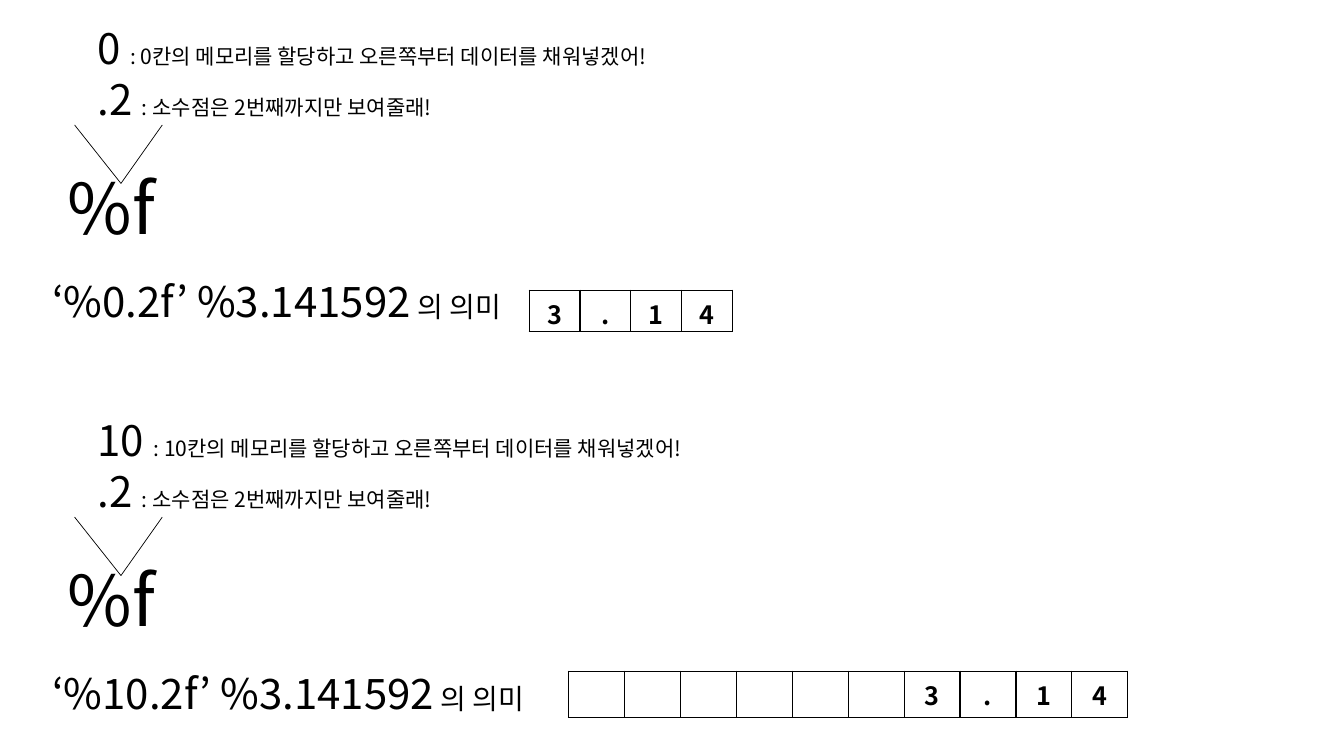
"""Builds a slide explaining width and precision in %f formatting."""
from lxml.etree import SubElement
from pptx import Presentation
from pptx.dml.color import RGBColor
from pptx.enum.shapes import MSO_CONNECTOR as CONN
from pptx.enum.text import MSO_ANCHOR as ANCHOR, PP_ALIGN as ALIGN
from pptx.oxml import parse_xml
from pptx.oxml.ns import nsdecls, qn
from pptx.util import Inches, Pt


def rgb(code):
    return RGBColor.from_string(code)


class Board:
    font, ink, paper = "Noto Sans CJK KR", "000000", "FFFFFF"
    cols, rows = 133.33, 75

    def __init__(self, prs):
        self.prs = prs
        self.s = prs.slides.add_slide(prs.slide_layouts[6])

    def x(self, cols):
        return round(self.prs.slide_width * cols / self.cols)

    def y(self, rows):
        return round(self.prs.slide_height * rows / self.rows)

    def run(self, p, text, size, bold=False):
        r = p.add_run()
        r.text = text
        r.font.size, r.font.bold, r.font.name = Pt(size), bold, self.font
        r.font.color.rgb = rgb(self.ink)
        SubElement(r.font._element, qn("a:ea"), typeface=self.font)

    def text(self, col, row, width, height, runs, align=ALIGN.LEFT):
        box = self.s.shapes.add_textbox(
            self.x(col), self.y(row), self.x(width), self.y(height))
        tf = box.text_frame
        tf.word_wrap, tf.vertical_anchor = True, ANCHOR.MIDDLE
        p = tf.paragraphs[0]
        p.alignment = align
        for text, size in runs:
            self.run(p, text, size)

    def line(self, col, row, to_col, to_row):
        c = self.s.shapes.add_connector(
            CONN.STRAIGHT, self.x(col), self.y(row), self.x(to_col), self.y(to_row))
        c.line.color.rgb, c.line.width = rgb(self.ink), Pt(0.5)
        SubElement(c._element.spPr, qn("a:effectLst"))

    def border(self, cell):
        tcPr = cell._tc.get_or_add_tcPr()
        for side in ("lnL", "lnR", "lnT", "lnB"):
            tcPr.append(parse_xml(
                f'<a:{side} {nsdecls("a")} w="{Pt(1)}"><a:solidFill>'
                f'<a:srgbClr val="{self.ink}"/></a:solidFill></a:{side}>'))

    def memory(self, col, row, step, height, slots):
        table = self.s.shapes.add_table(
            1, len(slots), self.x(col), self.y(row),
            self.x(step * len(slots)), self.y(height)).table
        table.first_row = table.horz_banding = False
        for i, char in enumerate(slots):
            table.columns[i].width = self.x(step)
            cell = table.cell(0, i)
            self.border(cell)
            cell.fill.solid()
            cell.fill.fore_color.rgb = rgb(self.paper)
            p = cell.text_frame.paragraphs[0]
            p.alignment = ALIGN.CENTER
            if char.strip():
                self.run(p, char, 18, True)

    def example(self, top, width):
        self.text(4.2, top + 21.1, 67, 14.1,
                  [(f"‘%{width}.2f’ %3.141592", 30), (" 의 의미", 20)])
        self.text(0, top + 11.7, 22.1, 14.1, [("%f", 50)], ALIGN.CENTER)
        for start in (7.4, 16.1):
            self.line(start, top + 10.7, 12, top + 16.5)
        notes = [(f"{width} ", f": {width}칸의 메모리를 할당하고 오른쪽부터 데이터를 채워넣겠어!"),
                 (".2 ", ": 소수점은 2번째까지만 보여줄래!")]
        for i, (part, meaning) in enumerate(notes):
            self.text(8.7, top + 5 * i, 85.2, 6.1, [(part, 30), (meaning, 15)])


prs = Presentation()
prs.slide_width, prs.slide_height = Inches(13.33), Inches(7.5)
board = Board(prs)
value = "3.14"
board.memory(56.4, 66.6, 5.55, 4.3, value.rjust(10))
board.example(40.6, 10)
board.memory(52.5, 28.8, 5.04, 4.1, value)
board.example(1.7, 0)
prs.save("out.pptx")
